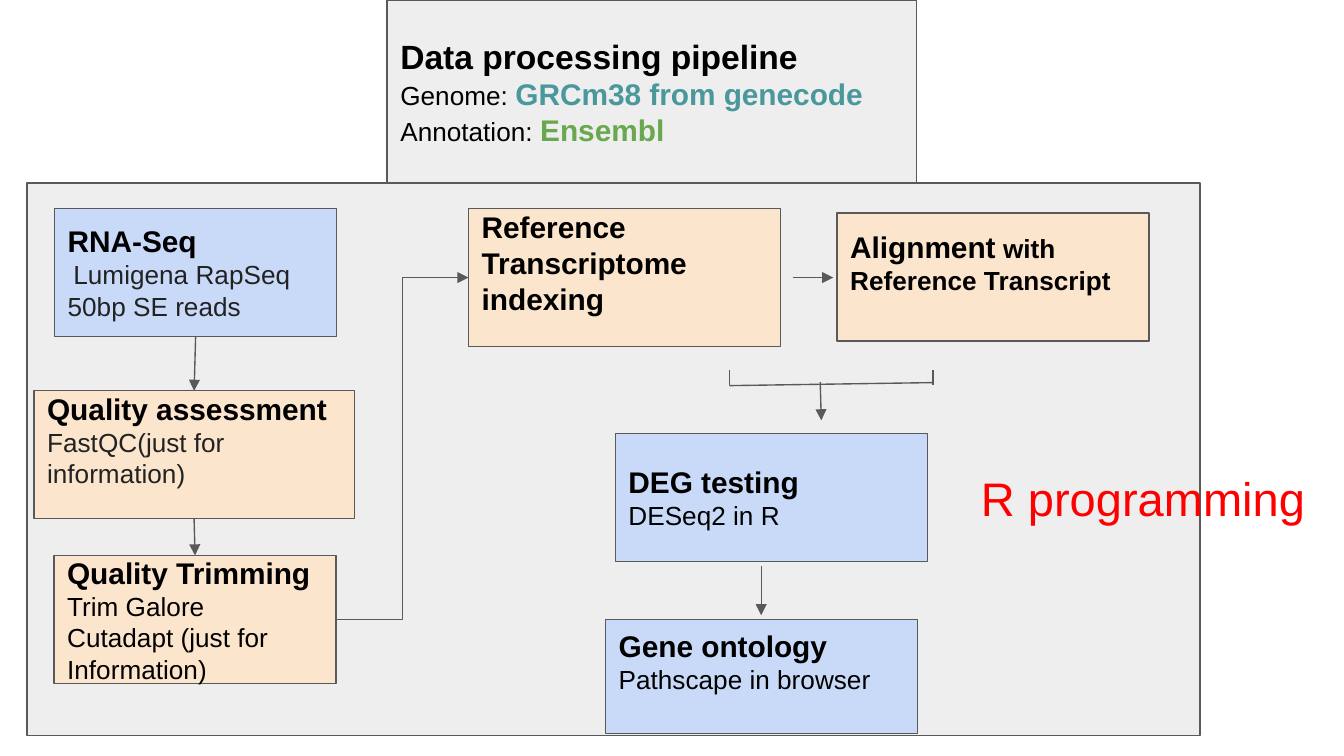
from lxml import etree
from pptx import Presentation
from pptx.dml.color import RGBColor
from pptx.enum.shapes import MSO_CONNECTOR, MSO_SHAPE
from pptx.enum.text import MSO_ANCHOR, PP_ALIGN
from pptx.oxml.ns import qn
from pptx.util import Pt

RECTANGLE = MSO_SHAPE.RECTANGLE
STRAIGHT, ELBOW = MSO_CONNECTOR.STRAIGHT, MSO_CONNECTOR.ELBOW
MIDDLE, LEFT_ALIGNED = MSO_ANCHOR.MIDDLE, PP_ALIGN.LEFT
TOP, LEFT, BOTTOM, RIGHT = range(4)  # connection sites of a rectangle

COLOURS = {
    "panel": "EEEEEE", "blue": "C9DAF8", "peach": "FCE5CD", "line": "595959",
    "black": "000000", "dark": "222222", "teal": "4A989C", "green": "6AA84F",
    "red": "FF0000",
}
FONT = "Arial"
HEADING, BODY = 16, 14
INSET = 7.2
BLANK_LINE = 16  # room kept free below a step's text
STEP_WIDTH, STEP_HEIGHT = 167.2, 68.6


def colour(name):
    return RGBColor.from_string(COLOURS[name])


def heading(text):
    return (text, HEADING, "black", True)


def body(text, tint="black", size=BODY):
    return (text, size, tint, False)


def write(frame, paragraphs, room_below=0):
    """Fill a text frame with paragraphs of (text, size, colour, bold) runs."""
    frame.word_wrap = True
    frame.margin_left = frame.margin_right = frame.margin_top = Pt(INSET)
    frame.margin_bottom = Pt(INSET + room_below)
    for index, runs in enumerate(paragraphs):
        paragraph = frame.add_paragraph() if index else frame.paragraphs[0]
        paragraph.alignment = LEFT_ALIGNED
        for text, size, tint, bold in runs:
            run = paragraph.add_run()
            run.text = text
            run.font.name = FONT
            run.font.size = Pt(size)
            run.font.bold = bold
            run.font.color.rgb = colour(tint)


def add_box(slide, place, fill, paragraphs=(), room_below=0):
    box = slide.shapes.add_shape(RECTANGLE, *map(Pt, place))
    box.shadow.inherit = False
    box.fill.solid()
    box.fill.fore_color.rgb = colour(fill)
    box.line.color.rgb = colour("line")
    box.line.width = Pt(0.75)
    box.text_frame.vertical_anchor = MIDDLE
    write(box.text_frame, paragraphs, room_below)
    return box


def add_line(slide, start, end, kind=STRAIGHT, arrow=True):
    """Draw a line; each end is an (x, y) point or a (box, site) pair."""
    points = [(0, 0) if hasattr(spot[0], "shape_id") else spot for spot in (start, end)]
    line = slide.shapes.add_connector(kind, *(Pt(v) for point in points for v in point))
    if hasattr(start[0], "shape_id"):
        line.begin_connect(*start)
    if hasattr(end[0], "shape_id"):
        line.end_connect(*end)
    line.line.color.rgb = colour("line")
    line.line.width = Pt(0.75)
    if arrow:
        etree.SubElement(line.line._get_or_add_ln(), qn("a:tailEnd"), type="triangle")
    etree.SubElement(line._element.spPr, qn("a:effectLst"))
    return line


def main():
    prs = Presentation()
    prs.slide_width, prs.slide_height = Pt(720), Pt(405)
    slide = prs.slides.add_slide(prs.slide_layouts[6])

    # Background panel and header
    add_box(slide, (14.4, 98, 628.6, 296), "panel")
    add_box(slide, (207.4, 0, 283.7, 98), "panel", [
        [("Data processing pipeline", 18, "black", True)],
        [body("Genome: "), ("GRCm38 from genecode", HEADING, "teal", True)],
        [body("Annotation: "), ("Ensembl", HEADING, "green", True)],
    ])

    # Read preparation, left column
    reads = add_box(slide, (29.2, 111.6, 151.2, STEP_HEIGHT), "blue", [
        [heading("RNA-Seq")],
        [body(" ", "dark", 11), body("Lumigena RapSeq", "dark")],
        [body("50bp SE reads", "dark")],
    ])
    assessment = add_box(slide, (18.2, 209.4, 171.6, STEP_HEIGHT), "peach", [
        [heading("Quality assessment")],
        [body("FastQC(just for information)", "dark")],
    ], BLANK_LINE)
    trimming = add_box(slide, (28.9, 297.6, 151.2, STEP_HEIGHT), "peach", [
        [heading("Quality Trimming")],
        [body("Trim Galore")],
        [body("Cutadapt (just for Information)")],
    ])

    # Reference steps, top row
    indexing = add_box(slide, (251, 111.6, STEP_WIDTH, 74.2), "peach", [
        [heading("Reference Transcriptome indexing")],
    ], BLANK_LINE)
    add_box(slide, (448.4, 114.2, STEP_WIDTH, STEP_HEIGHT), "peach", [
        [heading("Alignment"), (" with Reference Transcript", BODY, "black", True)],
    ], BLANK_LINE)

    # Analysis steps
    add_box(slide, (329.6, 232.2, STEP_WIDTH, STEP_HEIGHT), "blue", [
        [heading("DEG testing")],
        [body("DESeq2 in R")],
    ])
    add_box(slide, (324.4, 331.8, STEP_WIDTH, 61.2), "blue", [
        [heading("Gene ontology")],
        [body("Pathscape in browser")],
    ], BLANK_LINE)

    # Flow between the steps
    add_line(slide, (reads, BOTTOM), (assessment, TOP))
    add_line(slide, (assessment, BOTTOM), (trimming, TOP))
    add_line(slide, (trimming, RIGHT), (indexing, LEFT), ELBOW, arrow=False)
    add_line(slide, (229.7, 148.7), (indexing, LEFT))
    add_line(slide, (425, 148.7), (446.4, 148.7))
    add_line(slide, (439.4, 204.8), (440, 225.2))
    add_line(slide, (407.8, 303), (407.8, 329.6))

    # Bracket joining indexing and alignment
    bracket_left, bracket_right = 390.8, 499.8
    add_line(slide, (bracket_left, 206.6), (bracket_right, 205), arrow=False)
    for x in (bracket_left, bracket_right):
        add_line(slide, (x, 198.4), (x, 206), arrow=False)

    # Side label
    label = slide.shapes.add_textbox(*map(Pt, (518.4, 244.2, 193.7, 45.4)))
    write(label.text_frame, [[body("R programming", "red", 25.2)]])

    prs.save("out.pptx")


if __name__ == "__main__":
    main()
